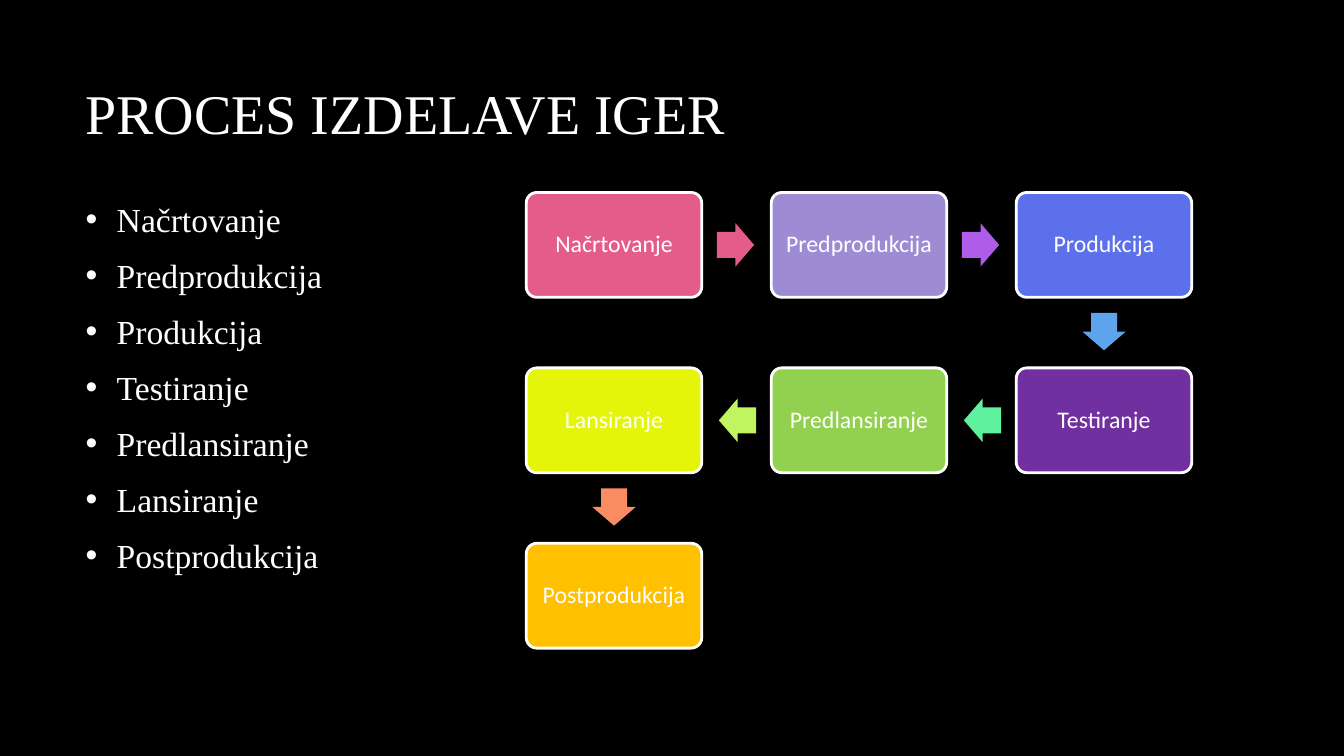
from dataclasses import dataclass
from math import atan2, degrees

from pptx import Presentation
from pptx.dml.color import RGBColor
from pptx.enum.shapes import MSO_SHAPE
from pptx.enum.text import MSO_ANCHOR, PP_ALIGN
from pptx.oxml.ns import qn
from pptx.slide import Slide
from pptx.text.text import TextFrame, _Paragraph
from pptx.util import Inches, Pt

COLORS = {
    "black": "000000", "white": "FFFFFF", "pink": "E45C8A", "lavender": "9D8CD3",
    "violet": "AF5DE9", "blue": "5D70EC", "sky": "5DA4ED", "purple": "7030A0",
    "mint": "5EF19E", "green": "92D050", "lime": "C0F560", "yellow": "E4F509",
    "coral": "F98C61", "amber": "FFC000",
}
SERIF, SANS = "Times New Roman", "Calibri"

BOX_W, BOX_H = 1.74, 1.04
GRID_LEFT, GRID_TOP = 5.22, 1.91
COL_STEP, ROW_STEP = 2.43, 1.74
ARROW_W, ARROW_H = 0.37, 0.43
ARROW_SETBACK = 0.01


@dataclass(frozen=True)
class Stage:
    name: str
    col: int
    row: int
    fill: str
    arrow: str = ""  # colour of the arrow to the next stage

    @property
    def left(self) -> float:
        return GRID_LEFT + self.col * COL_STEP

    @property
    def top(self) -> float:
        return GRID_TOP + self.row * ROW_STEP


STAGES = [
    Stage("Načrtovanje", 0, 0, "pink", "pink"),
    Stage("Predprodukcija", 1, 0, "lavender", "violet"),
    Stage("Produkcija", 2, 0, "blue", "sky"),
    Stage("Testiranje", 2, 1, "purple", "mint"),
    Stage("Predlansiranje", 1, 1, "green", "lime"),
    Stage("Lansiranje", 0, 1, "yellow", "coral"),
    Stage("Postprodukcija", 0, 2, "amber"),
]


def rgb(name: str) -> RGBColor:
    return RGBColor.from_string(COLORS[name])


def add_run(p: _Paragraph, text: str, size: float, font: str) -> None:
    r = p.add_run()
    r.text = text
    r.font.size = Pt(size)
    r.font.name = font
    r.font.color.rgb = rgb("white")


def add_text_frame(s: Slide, left: float, top: float, width: float, height: float) -> TextFrame:
    tf = s.shapes.add_textbox(Inches(left), Inches(top), Inches(width), Inches(height)).text_frame
    tf.word_wrap = True
    return tf


def add_bullet(p: _Paragraph) -> None:
    pPr = p._p.get_or_add_pPr()
    pPr.set("marL", str(Inches(0.31)))
    pPr.set("indent", str(Inches(-0.31)))
    color = pPr.makeelement(qn("a:buClr"), {})
    color.append(color.makeelement(qn("a:srgbClr"), {"val": COLORS["white"]}))
    pPr.append(color)
    pPr.append(pPr.makeelement(qn("a:buFont"), {"typeface": "Arial"}))
    pPr.append(pPr.makeelement(qn("a:buChar"), {"char": "•"}))


def add_stage_list(s: Slide) -> None:
    tf = add_text_frame(s, 0.75, 1.91, 4.3, 4.61)
    for i, stage in enumerate(STAGES):
        p = tf.paragraphs[0] if i == 0 else tf.add_paragraph()
        p.line_spacing = 1.04
        p.space_after = Pt(10)
        add_bullet(p)
        add_run(p, stage.name, 24, SERIF)


def add_stage_box(s: Slide, stage: Stage) -> None:
    box = s.shapes.add_shape(MSO_SHAPE.ROUNDED_RECTANGLE, Inches(stage.left),
                             Inches(stage.top), Inches(BOX_W), Inches(BOX_H))
    box.adjustments[0] = 0.1
    box.shadow.inherit = False
    box.fill.solid()
    box.fill.fore_color.rgb = rgb(stage.fill)
    box.line.color.rgb = rgb("white")
    box.line.width = Pt(2)
    tf = box.text_frame
    tf.word_wrap = True
    tf.vertical_anchor = MSO_ANCHOR.MIDDLE
    tf.margin_left = tf.margin_right = tf.margin_top = tf.margin_bottom = Inches(0.07)
    p = tf.paragraphs[0]
    p.alignment = PP_ALIGN.CENTER
    p.line_spacing = 0.9
    add_run(p, stage.name, 17, SANS)


def add_stage_arrow(s: Slide, start: Stage, end: Stage) -> None:
    """Centre an arrow between two neighbours, set slightly back toward the start."""
    dx, dy = end.col - start.col, end.row - start.row
    center_x = (start.left + end.left + BOX_W) / 2 - dx * ARROW_SETBACK
    center_y = (start.top + end.top + BOX_H) / 2 - dy * ARROW_SETBACK
    arrow = s.shapes.add_shape(MSO_SHAPE.RIGHT_ARROW, Inches(center_x - ARROW_W / 2),
                               Inches(center_y - ARROW_H / 2), Inches(ARROW_W), Inches(ARROW_H))
    arrow.adjustments[0] = 0.6
    arrow.adjustments[1] = 0.5
    arrow.rotation = degrees(atan2(dy, dx))
    arrow.shadow.inherit = False
    arrow.fill.solid()
    arrow.fill.fore_color.rgb = rgb(start.arrow)
    arrow.line.fill.background()


def main() -> None:
    prs = Presentation()
    prs.slide_width, prs.slide_height = Inches(13.33), Inches(7.5)
    s = prs.slides.add_slide(prs.slide_layouts[6])
    s.background.fill.solid()
    s.background.fill.fore_color.rgb = rgb("black")

    title = add_text_frame(s, 0.75, 0.32, 11.08, 1.59)
    title.vertical_anchor = MSO_ANCHOR.MIDDLE
    add_run(title.paragraphs[0], "PROCES IZDELAVE IGER", 40, SERIF)

    add_stage_list(s)
    for stage in STAGES:
        add_stage_box(s, stage)
    for start, end in zip(STAGES, STAGES[1:]):
        add_stage_arrow(s, start, end)

    prs.save("out.pptx")


if __name__ == "__main__":
    main()
